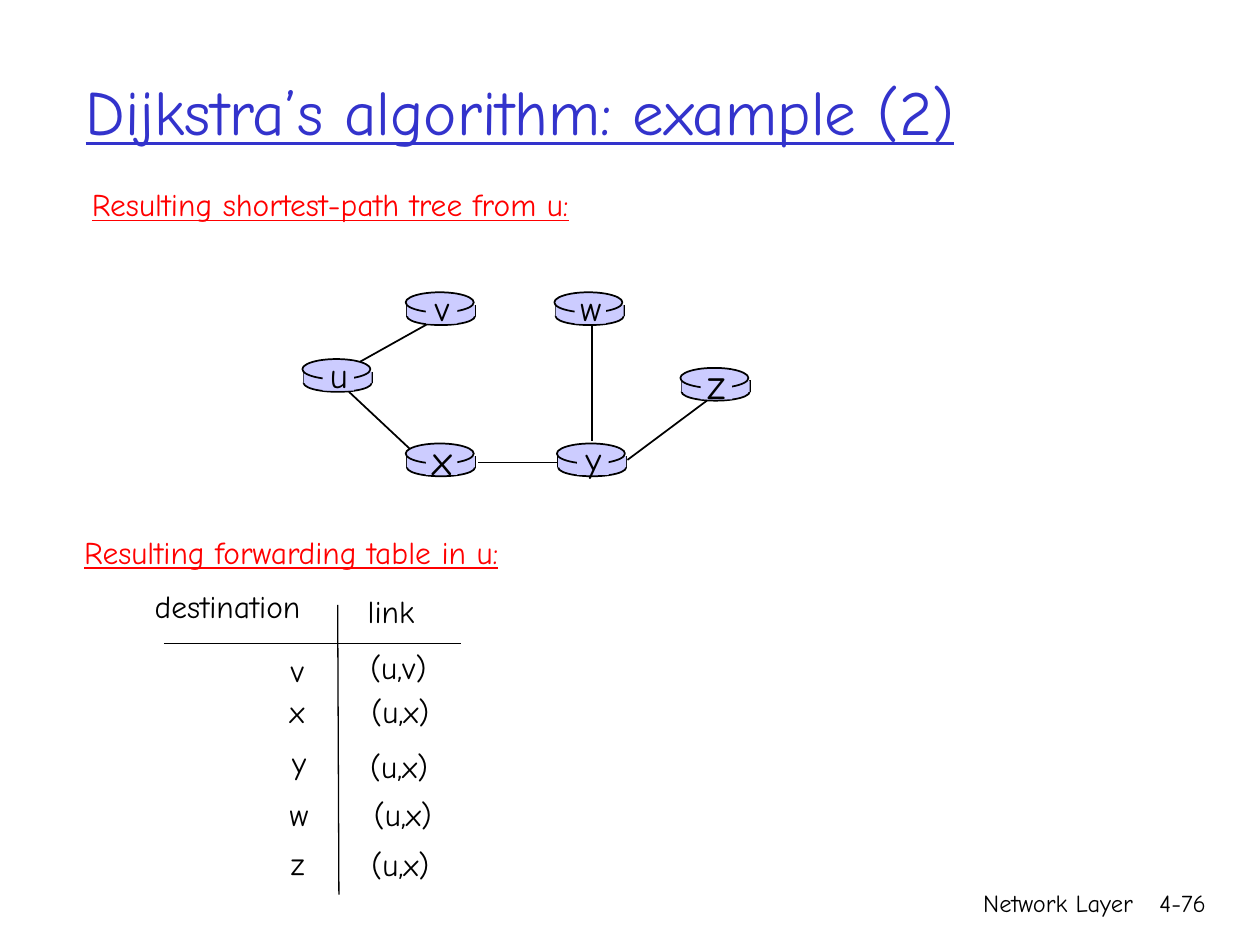
from typing import NamedTuple

from lxml import etree
from pptx import Presentation
from pptx import util as u
from pptx.dml.color import RGBColor
from pptx.enum import shapes, text
from pptx.oxml import ns

FONT = "Comic Neue"
BLACK, RED, BLUE, LAVENDER = "000000", "FF0000", "3333CC", "CCCCFF"
LEFT, CENTER, RIGHT = text.PP_ALIGN.LEFT, text.PP_ALIGN.CENTER, text.PP_ALIGN.RIGHT
OVAL, RECTANGLE = shapes.MSO_SHAPE.OVAL, shapes.MSO_SHAPE.RECTANGLE


class Router(NamedTuple):
    name: str
    left: float
    top: float
    size: int = 20


class Line(NamedTuple):
    x1: float
    y1: float
    x2: float
    y2: float


class Label(NamedTuple):
    words: str
    left: float
    top: float
    width: float


ROUTERS = [
    Router("u", 2.41, 2.85),
    Router("x", 3.23, 3.52, 24),
    Router("v", 3.23, 2.32),
    Router("w", 4.41, 2.32),
    Router("y", 4.43, 3.52),
    Router("z", 5.41, 2.92, 24),
]
LINK_UV = Line(2.86, 2.87, 3.45, 2.54)
LINKS = [
    Line(4.7, 2.59, 4.7, 3.5),
    Line(4.98, 3.65, 5.61, 3.18),
    Line(4.43, 3.67, 3.79, 3.67),
    Line(3.25, 3.56, 2.77, 3.11),
]
RULES = [Line(2.68, 4.8, 2.69, 7.1), Line(1.3, 5.11, 3.66, 5.11)]
HEADINGS = [
    Label("Resulting shortest-path tree from u:", 0.63, 1.42, 4.49),
    Label("Resulting forwarding table in u:", 0.57, 4.18, 3.84),
]
TABLE_LABELS = [
    Label("destination", 1.13, 4.61, 1.5),
    Label("link", 2.82, 4.65, 0.6),
    Label("v", 2.21, 5.12, 0.32),
    Label("(u,v)", 2.84, 5.09, 0.71),
    Label("x", 2.2, 5.44, 0.35),
    Label("(u,x)", 2.85, 5.44, 0.73),
    Label("y", 2.22, 5.85, 0.33),
    Label("(u,x)", 2.84, 5.88, 0.73),
    Label("w", 2.2, 6.26, 0.37),
    Label("(u,x)", 2.87, 6.26, 0.73),
    Label("z", 2.21, 6.65, 0.34),
    Label("(u,x)", 2.85, 6.66, 0.73),
]
FOOTERS = [Label("Network Layer", 5.92, 7, 3.17), Label("4-76", 8.93, 7, 0.74)]


def color(value: str) -> RGBColor:
    """Return the colour for a hex string."""
    return RGBColor.from_string(value)


def write(frame, words: str, size: int, ink: str, align=LEFT, underline=None) -> None:
    """Put one formatted paragraph into a text frame."""
    frame.text = words
    paragraph = frame.paragraphs[0]
    paragraph.alignment = align
    font = paragraph.runs[0].font
    font.name, font.size, font.underline = FONT, u.Pt(size), underline
    font.color.rgb = color(ink)


def add_label(slide, label: Label, size: int, ink: str = BLACK, align=LEFT,
              underline=None, height: float = 0.4, wrap: bool = False) -> None:
    """Add a text box holding a label."""
    shape = slide.shapes.add_textbox(u.Inches(label.left), u.Inches(label.top),
                                     u.Inches(label.width), u.Inches(height))
    shape.text_frame.word_wrap = wrap
    write(shape.text_frame, label.words, size, ink, align, underline)


def add_line(slide, line: Line, width: float = 1) -> None:
    """Add a straight black line without a shadow."""
    connector = slide.shapes.add_connector(shapes.MSO_CONNECTOR.STRAIGHT,
                                           *(u.Inches(value) for value in line))
    connector.line.color.rgb = color(BLACK)
    connector.line.width = u.Pt(width)
    etree.SubElement(connector._element.spPr, ns.qn("a:effectLst"))


def add_part(slide, kind, left: float, top: float, width: float, height: float) -> None:
    """Add a lavender shape, outlined when it is an oval."""
    shape = slide.shapes.add_shape(kind, u.Inches(left), u.Inches(top),
                                   u.Inches(width), u.Inches(height))
    shape.shadow.inherit = False
    shape.fill.solid()
    shape.fill.fore_color.rgb = color(LAVENDER)
    if kind == OVAL:
        shape.line.color.rgb = color(BLACK)
        shape.line.width = u.Pt(1)
    else:
        shape.line.fill.background()


def add_router(slide, router: Router) -> None:
    """Draw the flat cylinder of a router."""
    left, top, width = router.left, router.top, 0.54
    add_part(slide, OVAL, left, top + 0.12, width, 0.14)
    for side in (left, left + width):
        add_line(slide, Line(side, top + 0.1, side, top + 0.19))
    add_part(slide, RECTANGLE, left, top + 0.1, width, 0.09)
    add_part(slide, OVAL, left - 0.01, top, width, 0.16)


def add_router_name(slide, router: Router) -> None:
    """Write the name of a router on a plain patch."""
    add_part(slide, RECTANGLE, router.left + 0.15, router.top + 0.02, 0.25, 0.23)
    width, height = 0.38, 0.5 if router.size == 24 else 0.43
    label = Label(router.name, router.left + 0.28 - width / 2,
                  router.top + 0.12 - height / 2, width)
    add_label(slide, label, router.size, align=CENTER, height=height)


def main() -> None:
    """Build the slide and save it."""
    presentation = Presentation()
    presentation.slide_width, presentation.slide_height = u.Inches(10), u.Inches(7.5)
    slide = presentation.slides.add_slide(presentation.slide_layouts[5])

    title = slide.shapes.title
    title.left, title.top = u.Inches(0.58), u.Inches(0.25)
    title.width, title.height = u.Inches(8.5), u.Inches(1.25)
    title.text_frame.vertical_anchor = text.MSO_ANCHOR.MIDDLE
    write(title.text_frame, "Dijkstra’s algorithm: example (2)", 36, BLUE, underline=True)

    add_line(slide, LINK_UV)
    for router in ROUTERS:
        add_router(slide, router)
    for link in LINKS:
        add_line(slide, link)
    for router in ROUTERS:
        add_router_name(slide, router)

    for heading in HEADINGS:
        add_label(slide, heading, 18, RED, underline=True)
    for rule in RULES:
        add_line(slide, rule, 0.75)
    for label in TABLE_LABELS:
        add_label(slide, label, 18)
    for footer in FOOTERS:
        add_label(slide, footer, 14, align=RIGHT, height=0.5, wrap=True)

    presentation.save("out.pptx")


if __name__ == "__main__":
    main()
